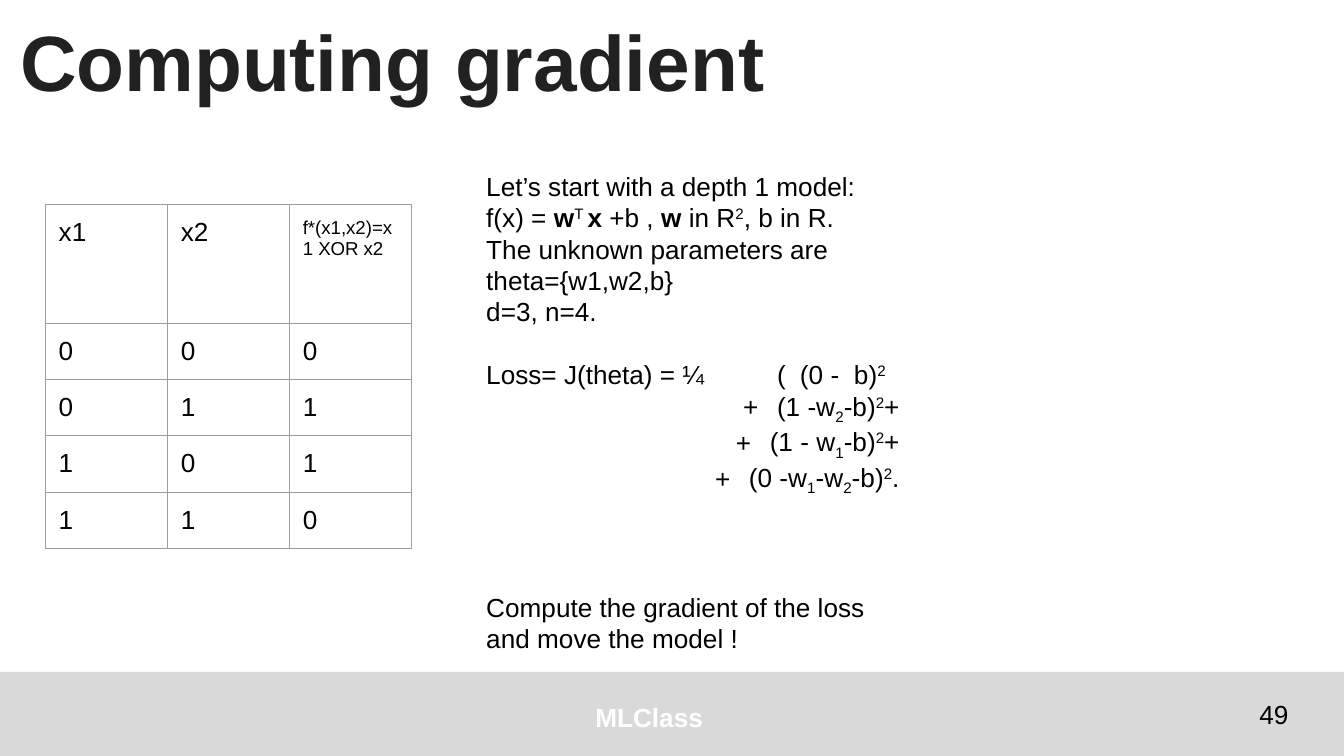
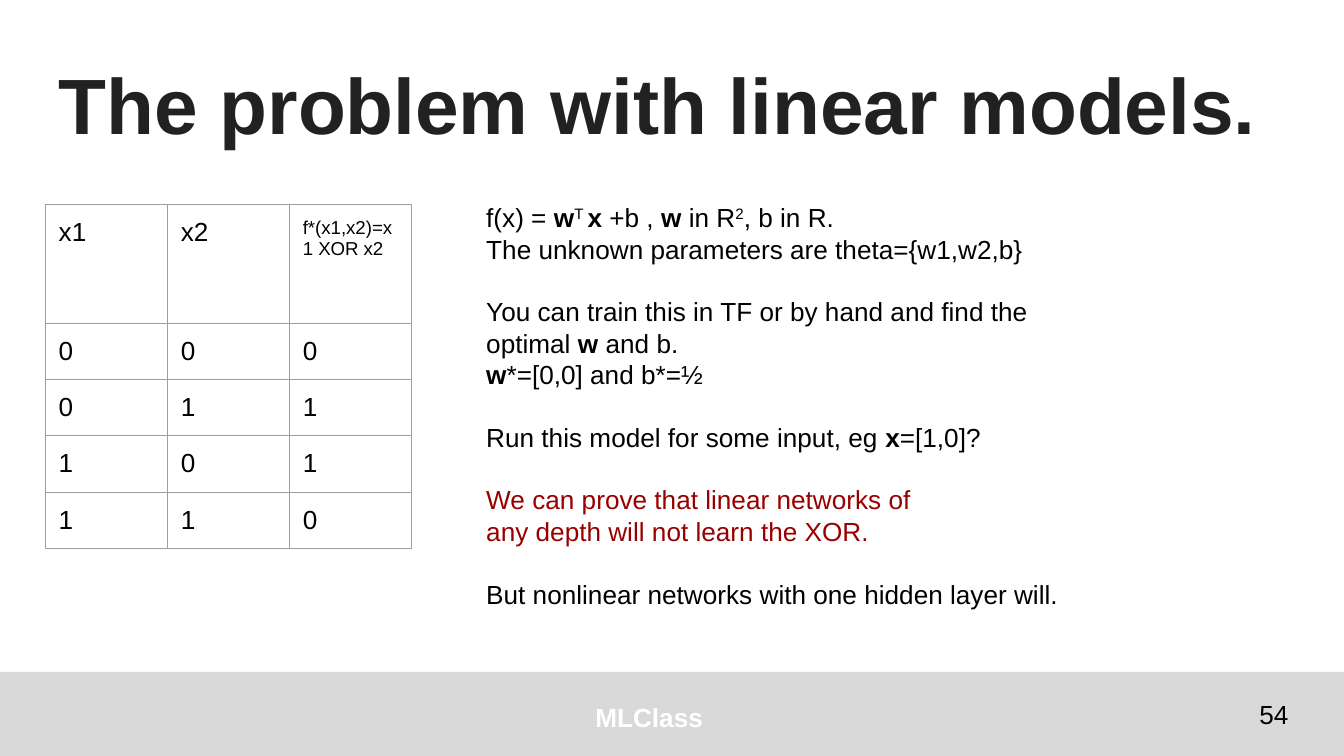
from dataclasses import dataclass

from lxml.etree import SubElement
from pptx import Presentation
from pptx.dml.color import RGBColor
from pptx.enum.shapes import MSO_SHAPE
from pptx.enum.text import MSO_ANCHOR, PP_ALIGN
from pptx.oxml.ns import qn
from pptx.util import Cm, Pt


@dataclass(frozen=True)
class Theme:
    font: str = "Arial"
    ink: str = "000000"
    heading: str = "212121"
    band: str = "D9D9D9"
    brand: str = "FFFFFF"
    warning: str = "980000"
    grid: str = "9E9E9E"
    title_size: float = 42
    body_size: float = 14
    formula_size: float = 10
    blank_line: float = 16.8
    inset: float = 0.25
    cell_bottom: float = 0.22


@dataclass(frozen=True)
class Box:
    left: float
    top: float
    width: float
    height: float

    def lengths(self):
        return Cm(self.left), Cm(self.top), Cm(self.width), Cm(self.height)


@dataclass(frozen=True)
class Line:
    """One paragraph: runs are (text, style) with style "", "b", "sup" or "sub"."""
    runs: tuple
    lines_before: int = 0
    color: str = ""
    bullet: str = ""
    tabs: tuple = ()


THEME = Theme()
BASELINES = {"sup": "30000", "sub": "-25000"}
SLIDE = Box(0, 0, 25.4, 14.29)
FOOTER = Box(0, 12.7, 25.4, 1.59)
XOR_TABLE = Box(0.86, 3.86, 6.92, 6.09)
TITLE_SIZE = (23.67, 2.23)

XOR_HEADER = ("x1", "x2", "f*(x1,x2)=x1 XOR x2")
XOR_ROWS = [(a, b, a ^ b) for a in (0, 1) for b in (0, 1)]

MODEL = Line((("f(x) = ", ""), ("w", "b"), ("T ", "sup"), ("x", "b"), (" +b , ", ""),
              ("w", "b"), (" in R", ""), ("2", "sup"), (", b in R.", "")))
PARAMETERS = Line((("The unknown parameters are theta={w1,w2,b}", ""),))


def plain(text, **options):
    return Line(((text, ""),), **options)


def loss_term(start, *weights, end="+"):
    """A bulleted squared error, with each weight index set below the line."""
    runs = [(start, "")]
    for i, weight in enumerate(weights):
        if i:
            runs.append(("-w", ""))
        runs.append((weight, "sub"))
    runs += [("-b)", ""), ("2", "sup"), (end, "")]
    return Line(tuple(runs), bullet="+")


GRADIENT_NOTES = [
    plain("Let’s start with a depth 1 model:"),
    MODEL,
    PARAMETERS,
    plain("d=3, n=4."),
    Line((("Loss= J(theta) = ¼\t(\t(0 -\tb)", ""), ("2", "sup")),
         lines_before=1, tabs=(5.5, 5.93, 6.95)),
    loss_term("(1 -w", "2"),
    loss_term("(1 - w", "1"),
    loss_term("(0 -w", "1", "2", end="."),
    plain("Compute the gradient of the loss and move the model !", lines_before=3),
]

LINEAR_NOTES = [
    MODEL,
    PARAMETERS,
    Line((("You can train this in TF or by hand and find the optimal ", ""),
          ("w", "b"), (" and b.", "")), lines_before=1),
    Line((("w", "b"), ("*=[0,0] and b*=½", ""))),
    Line((("Run this model for some input, eg ", ""), ("x", "b"), ("=[1,0]?", "")),
         lines_before=1),
    plain("We can prove that linear networks of", lines_before=1, color=THEME.warning),
    plain("any depth will not learn the XOR.", color=THEME.warning),
    plain("But nonlinear networks with one hidden layer will.", lines_before=1),
]


def add_run(paragraph, text, size=THEME.body_size, color=THEME.ink, style=""):
    run = paragraph.add_run()
    run.text = text
    run.font.name = THEME.font
    run.font.size = Pt(size)
    run.font.bold = style == "b"
    run.font.color.rgb = RGBColor.from_string(color)
    if style in BASELINES:
        run._r.get_or_add_rPr().set("baseline", BASELINES[style])


def add_frame(slide, box, top_inset=THEME.inset):
    frame = slide.shapes.add_textbox(*box.lengths()).text_frame
    frame.word_wrap = True
    frame.margin_left = frame.margin_right = frame.margin_bottom = Cm(THEME.inset)
    frame.margin_top = Cm(top_inset)
    return frame


def add_label(slide, box, text, **look):
    frame = add_frame(slide, box)
    add_run(frame.paragraphs[0], text, **look)
    return frame


def add_title(slide, left, top, text):
    add_label(slide, Box(left, top, *TITLE_SIZE), text,
              size=THEME.title_size, color=THEME.heading, style="b")


def add_footer(slide, box, number):
    band = slide.shapes.add_shape(MSO_SHAPE.RECTANGLE, *box.lengths())
    band.shadow.inherit = False
    band.fill.solid()
    band.fill.fore_color.rgb = RGBColor.from_string(THEME.band)
    band.line.fill.background()
    course = add_label(slide, Box(box.left + 10.16, box.top + 0.3, 4.22, 1.02),
                       "MLClass", color=THEME.brand, style="b")
    course.paragraphs[0].alignment = PP_ALIGN.CENTER
    page = add_label(slide, Box(box.left + 23.55, box.top + 0.25, 1.52, 1.09), str(number))
    page.vertical_anchor = MSO_ANCHOR.MIDDLE


def set_bullet(paragraph, mark):
    properties = paragraph._p.get_or_add_pPr()
    properties.set("marL", str(Cm(1.27)))
    properties.set("indent", str(-Cm(0.64)))
    SubElement(properties, qn("a:buFont"), typeface=THEME.font)
    SubElement(properties, qn("a:buChar"), char=mark)
    paragraph.alignment = PP_ALIGN.RIGHT


def set_tabs(paragraph, stops):
    tab_list = SubElement(paragraph._p.get_or_add_pPr(), qn("a:tabLst"))
    for stop in stops:
        SubElement(tab_list, qn("a:tab"), pos=str(Cm(stop)), algn="l")


def add_notes(slide, box, lines, top_inset=THEME.inset):
    frame = add_frame(slide, box, top_inset)
    for i, line in enumerate(lines):
        paragraph = frame.add_paragraph() if i else frame.paragraphs[0]
        if line.bullet:
            set_bullet(paragraph, line.bullet)
        if line.tabs:
            set_tabs(paragraph, line.tabs)
        if line.lines_before:
            paragraph.space_before = Pt(line.lines_before * THEME.blank_line)
        for text, style in line.runs:
            add_run(paragraph, text, color=line.color or THEME.ink, style=style)


def set_borders(cell):
    properties = cell._tc.get_or_add_tcPr()
    for side in ("lnL", "lnR", "lnT", "lnB"):
        edge = SubElement(properties, qn(f"a:{side}"), w=str(Pt(0.75)))
        fill = SubElement(edge, qn("a:solidFill"))
        SubElement(fill, qn("a:srgbClr"), val=THEME.grid)


def add_xor_table(slide, box):
    rows = [XOR_HEADER, *XOR_ROWS]
    table = slide.shapes.add_table(len(rows), len(XOR_HEADER), *box.lengths()).table
    table.first_row = table.horz_banding = False
    for column in table.columns:
        column.width = Cm(box.width / len(XOR_HEADER))
    for r, values in enumerate(rows):
        table.rows[r].height = Cm(0.97 if r else 2.25)
        for c, value in enumerate(values):
            cell = table.cell(r, c)
            cell.margin_left = cell.margin_right = cell.margin_top = Cm(THEME.inset)
            cell.margin_bottom = Cm(THEME.cell_bottom)
            set_borders(cell)
            cell.fill.background()
            is_formula = value == XOR_HEADER[-1]
            add_run(cell.text_frame.paragraphs[0], str(value),
                    size=THEME.formula_size if is_formula else THEME.body_size)


def add_lesson(deck, number, title, title_at, notes, notes_box, notes_inset=THEME.inset):
    """A slide with the XOR table on the left and notes beside it."""
    slide = deck.slides.add_slide(deck.slide_layouts[6])
    add_footer(slide, FOOTER, number)
    add_title(slide, *title_at, title)
    add_xor_table(slide, XOR_TABLE)
    add_notes(slide, notes_box, notes, notes_inset)


def main():
    deck = Presentation()
    deck.slide_width, deck.slide_height = Cm(SLIDE.width), Cm(SLIDE.height)
    add_lesson(deck, 49, "Computing gradient", (0.13, 0),
               GRADIENT_NOTES, Box(8.94, 2.97, 8.31, 8.48))
    add_lesson(deck, 54, "The problem with linear models.", (0.86, 0.81),
               LINEAR_NOTES, Box(8.94, 2.97, 12.12, 9.14), notes_inset=0.84)
    deck.save("out.pptx")


if __name__ == "__main__":
    main()
